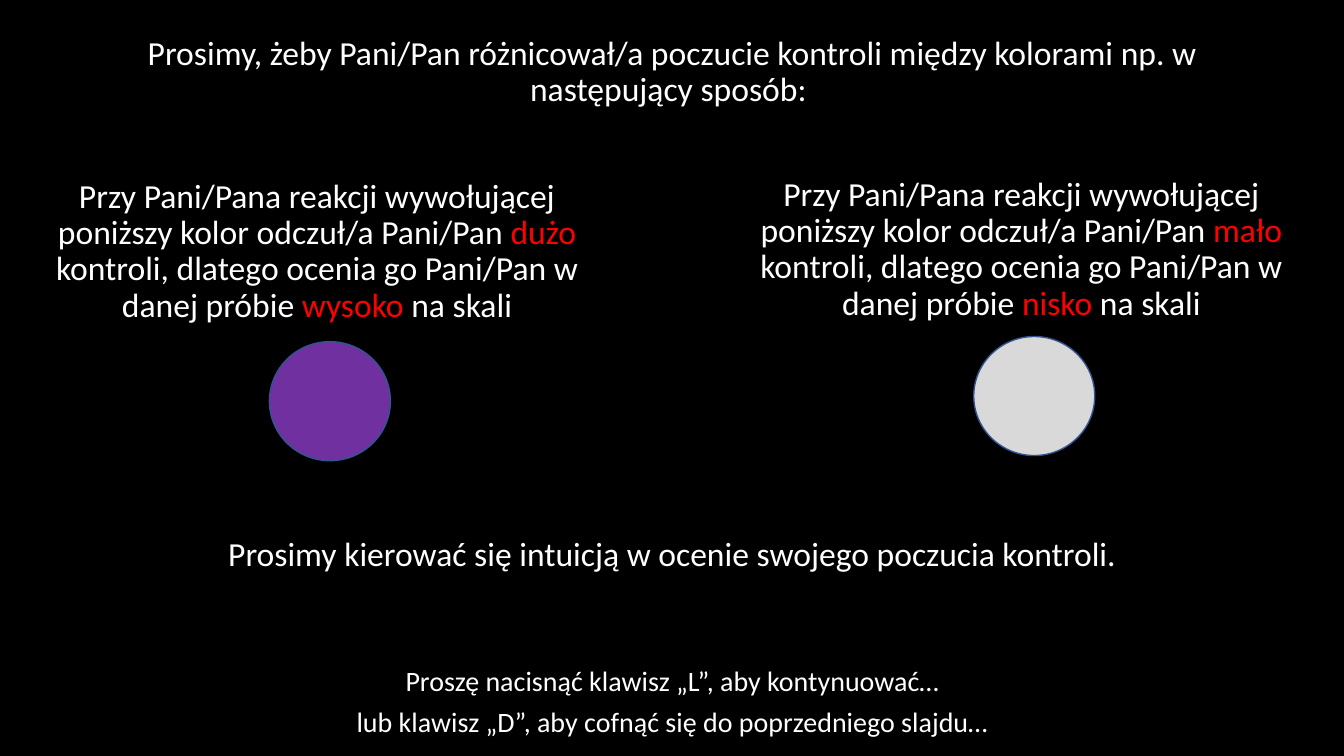
from pptx import Presentation
from pptx.dml.color import RGBColor
from pptx.enum.shapes import MSO_SHAPE as Shape
from pptx.enum.text import MSO_ANCHOR as Anchor, PP_ALIGN as Align
from pptx.util import Cm, Pt

WHITE, RED, BLACK = "FFFFFF", "FF0000", "000000"
PURPLE, GREY, OUTLINE = "7030A0", "D9D9D9", "325491"


def color(hex_code):
    """Turn a hex string into a colour."""
    return RGBColor.from_string(hex_code)


class InstructionSlide:
    """Style of the instructions and the slide they are placed on."""

    font_name = "Calibri"

    def __init__(self, presentation):
        """Add a blank slide with a black background."""
        self.slide = presentation.slides.add_slide(presentation.slide_layouts[6])
        background = self.slide.background.fill
        background.solid()
        background.fore_color.rgb = color(BLACK)

    def text(self, left, top, width, height, paragraphs, size=24, spacing=0.9):
        """Add centred paragraphs; every second piece of each one is red."""
        box = self.slide.shapes.add_textbox(Cm(left), Cm(top), Cm(width), Cm(height))
        frame = box.text_frame
        frame.word_wrap = True
        frame.vertical_anchor = Anchor.TOP
        for index, pieces in enumerate(paragraphs):
            paragraph = frame.add_paragraph() if index else frame.paragraphs[0]
            paragraph.alignment = Align.CENTER
            paragraph.line_spacing = spacing
            paragraph.space_before = Pt(10)
            paragraph.font.name = self.font_name
            paragraph.font.size = Pt(size)
            paragraph.font.color.rgb = color(WHITE)
            for position, piece in enumerate(pieces):
                run = paragraph.add_run()
                run.text = piece
                if position % 2:
                    run.font.color.rgb = color(RED)

    def circle(self, left, top, fill):
        """Add a colour sample."""
        sample = self.slide.shapes.add_shape(
            Shape.OVAL, Cm(left), Cm(top), Cm(3.05), Cm(3))
        sample.shadow.inherit = False
        sample.fill.solid()
        sample.fill.fore_color.rgb = color(fill)
        sample.line.color.rgb = color(OUTLINE)
        sample.line.width = Pt(1)

    def example(self, left, top, circle_top, amount, rating, fill):
        """Add an explanation of one rating with its colour sample below."""
        self.text(left, top, 15.06, 4.24, [[
            "Przy Pani/Pana reakcji wywołującej poniższy kolor odczuł/a Pani/Pan ",
            amount,
            " kontroli, dlatego ocenia go Pani/Pan w danej próbie ",
            rating,
            " na skali"]])
        self.circle(left + 6.33, circle_top, fill)


presentation = Presentation()
presentation.slide_width, presentation.slide_height = Cm(33.87), Cm(19.05)
instructions = InstructionSlide(presentation)

instructions.text(3.4, 0.79, 27.08, 2.95, [[
    "Prosimy, żeby Pani/Pan różnicował/a poczucie kontroli "
    "między kolorami np. w następujący sposób: "]])
instructions.example(0.46, 4.39, 8.61, "dużo", "wysoko", PURPLE)
instructions.example(18.21, 4.34, 8.48, "mało", "nisko", GREY)
instructions.text(2.74, 13.41, 28.4, 1.42, [[
    "Prosimy kierować się intuicją w ocenie swojego poczucia kontroli."]])
instructions.text(2.34, 16.76, 29.21, 2.03, [
    ["Proszę nacisnąć klawisz „L”, aby kontynuować…"],
    ["lub klawisz „D”, aby cofnąć się do poprzedniego slajdu…"],
], size=20, spacing=0.8)

presentation.save("out.pptx")
